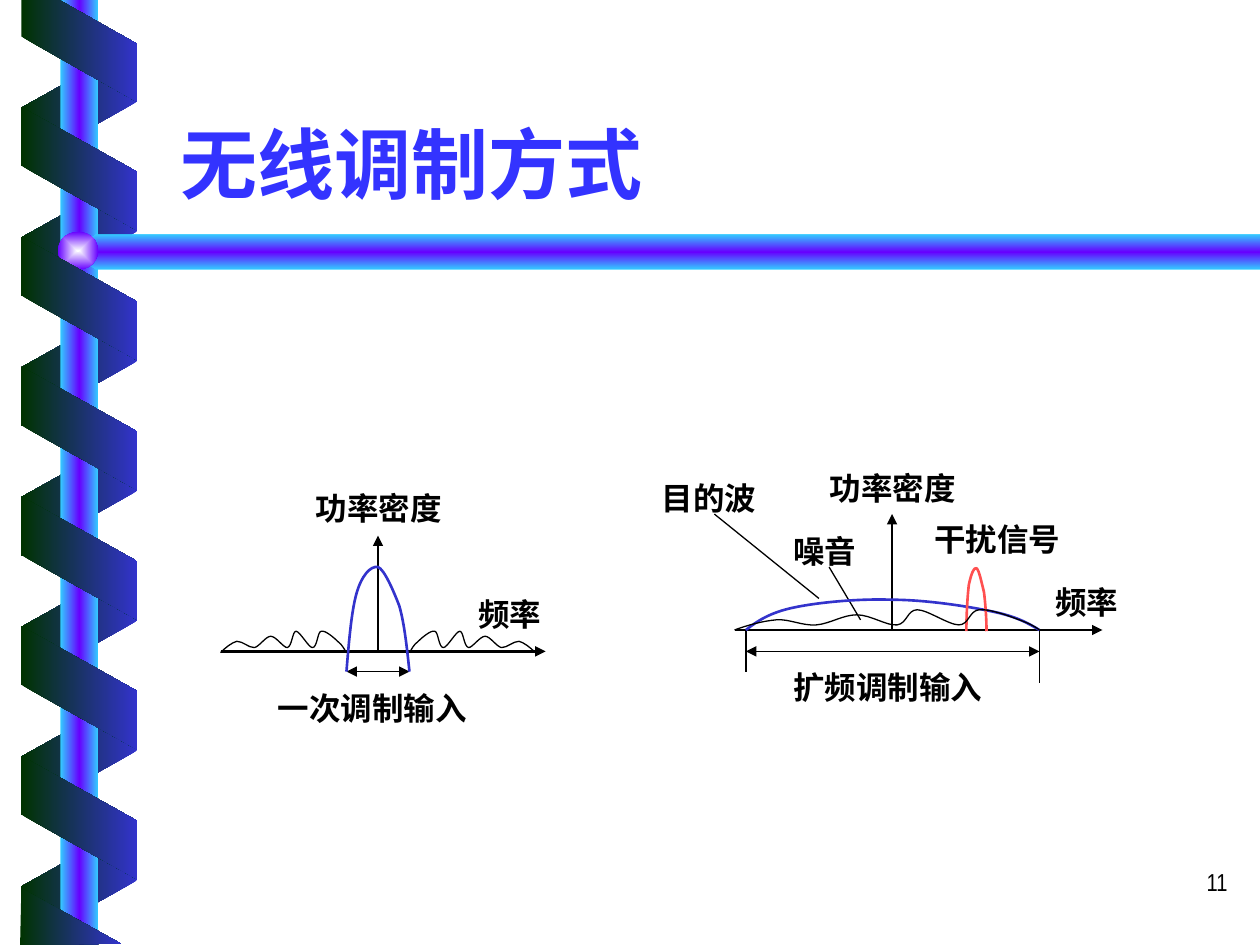
from lxml.etree import SubElement
from pptx import Presentation
from pptx.dml.color import RGBColor
from pptx.enum.shapes import MSO_CONNECTOR, MSO_SHAPE
from pptx.enum.text import MSO_ANCHOR, MSO_AUTO_SIZE, PP_ALIGN
from pptx.oxml.ns import qn
from pptx.util import Cm, Pt

BLACK = RGBColor(0x00, 0x00, 0x00)
GREEN = RGBColor(0x00, 0x33, 0x00)
NAVY = RGBColor(0x33, 0x33, 0xCC)
BLUE = RGBColor(0x33, 0x33, 0xFF)
CYAN = RGBColor(0x33, 0xCC, 0xFF)
VIOLET = RGBColor(0x66, 0x00, 0xFF)
PALE = RGBColor(0xFE, 0xFF, 0xFF)
RED = RGBColor(0xFF, 0x50, 0x50)
CJK = "Noto Sans CJK SC"
INCH = 2.54  # the layout grid is in inches


def grid(*vals):
    """Turn grid values into lengths."""
    return [Cm(val * INCH) for val in vals]


def shade(shape, hues, angle=None):
    """Fill with evenly spaced hues; without an angle they spread from the centre."""
    shape.shadow.inherit = False
    shape.line.fill.background()
    shape.fill.gradient()
    grad = shape._element.spPr.find(qn("a:gradFill"))
    grad.clear()
    grad.set("rotWithShape", "0")
    stops = SubElement(grad, qn("a:gsLst"))
    for i, hue in enumerate(hues):
        stop = SubElement(stops, qn("a:gs"), pos=str(100000 * i // (len(hues) - 1)))
        SubElement(stop, qn("a:srgbClr"), val=str(hue))
    if angle is None:
        way = SubElement(grad, qn("a:path"), path="rect")
        SubElement(way, qn("a:fillToRect"), **dict.fromkeys("ltrb", "50000"))
    else:
        SubElement(grad, qn("a:lin"), ang=str(angle * 60000), scaled="0")


deck = Presentation()
deck.slide_width, deck.slide_height = grid(10, 7.5)
slide = deck.slides.add_slide(deck.slide_layouts[5])
shapes = slide.shapes

# Ribbon behind the pole, pole, bar, ball, ribbon in front
STEP = 1.03
for top, count, turn in [(0.37, 7, 90), (0.88, 6, 270)]:
    for i in range(count):
        band = shapes.add_shape(MSO_SHAPE.PARALLELOGRAM,
                                *grid(0.14, top + i * STEP, 0.98, 0.92))
        band.adjustments[0] = 0.56
        band.rotation = turn
        if turn == 90:
            band._element.spPr.xfrm.set("flipH", "1")
        shade(band, [NAVY, GREEN] if turn == 90 else [GREEN, NAVY], 0)
    if turn == 90:
        pole = shapes.add_shape(MSO_SHAPE.RECTANGLE, *grid(0.48, 0, 0.3, 7.5))
        shade(pole, [CYAN, VIOLET, CYAN], 0)
        pen = shapes.build_freeform(*grid(10, 1.86), scale=1.0)
        pen.add_line_segments([grid(*spot) for spot in
                               [(0.76, 1.86), (0.6, 2), (0.76, 2.14), (10, 2.14)]])
        shade(pen.convert_to_shape(), [CYAN, VIOLET, CYAN], 90)
        ball = shapes.add_shape(MSO_SHAPE.OVAL, *grid(0.46, 1.84, 0.32, 0.3))
        shade(ball, [PALE, VIOLET])

for first, *rest in [
    [(0.17, 0), (0.17, 0.29), (1.09, 0.81), (1.09, 0.35), (0.47, 0)],
    [(0.96, 7.49), (0.17, 7.05), (0.16, 7.5)],
]:
    pen = shapes.build_freeform(*grid(*first), scale=1.0)
    pen.add_line_segments([grid(*spot) for spot in rest])
    shade(pen.convert_to_shape(), [GREEN, NAVY], 0)

# Title
title = shapes.title
title.left, title.top, title.width, title.height = grid(1.33, 0.46, 8.5, 1.25)
title.text = "无线调制方式"
frame = title.text_frame
for key, val in {"vertical_anchor": MSO_ANCHOR.BOTTOM, "word_wrap": True,
                 "auto_size": MSO_AUTO_SIZE.NONE}.items():
    setattr(frame, key, val)
para = frame.paragraphs[0]
para.alignment = PP_ALIGN.LEFT
run = para.runs[0]
for key, val in {"name": CJK, "size": Pt(44), "bold": True}.items():
    setattr(run.font, key, val)
run.font.color.rgb = BLUE
SubElement(run.font._element, qn("a:ea"), typeface=CJK)

# Axes, spans and leaders: from, to, weight, arrowheads
for x1, y1, x2, y2, size, heads in [
    (7.08, 5, 7.08, 4.08, 1.5, ["tail"]),
    (5.83, 5, 8.75, 5, 1.5, ["tail"]),
    (5.92, 5.17, 8.25, 5.17, 0.75, ["head", "tail"]),
    (5.92, 5, 5.92, 5.33, 0.75, []),
    (8.25, 5, 8.25, 5.42, 0.75, []),
    (6.83, 4.92, 6.58, 4.5, 0.75, []),
    (6.5, 4.75, 5.67, 4.08, 0.75, []),
    (3, 5.17, 3, 4.25, 1.5, ["tail"]),
    (1.75, 5.17, 4.33, 5.17, 1.5, ["tail"]),
    (2.75, 5.33, 3.25, 5.33, 0.75, ["head", "tail"]),
]:
    line = shapes.add_connector(MSO_CONNECTOR.STRAIGHT, *grid(x1, y1, x2, y2))
    line.line.color.rgb = BLACK
    line.line.width = Pt(size)
    for end in heads:
        SubElement(line.line._get_or_add_ln(), qn(f"a:{end}End"), type="triangle")
    SubElement(line._element.spPr, qn("a:effectLst"))

# Waves: a start, then three Bézier points for each arc
ripple = [
    (1.75, 5.18), (1.79, 5.14), (1.84, 5.1), (1.88, 5.09),
    (1.93, 5.09), (1.97, 5.14), (2.02, 5.14), (2.06, 5.13), (2.11, 5.05), (2.15, 5.05),
    (2.19, 5.05), (2.25, 5.14), (2.28, 5.14), (2.32, 5.13), (2.32, 5.01), (2.35, 5.01),
    (2.38, 5.01), (2.45, 5.14), (2.48, 5.14), (2.52, 5.14), (2.52, 5.01), (2.55, 5.01),
    (2.58, 5), (2.65, 5.06), (2.68, 5.09), (2.72, 5.12), (2.73, 5.15), (2.75, 5.18)]
mirror = [(6 - x, y) for x, y in ripple]
noise = [
    (5.83, 5), (5.94, 4.96), (6.05, 4.93), (6.16, 4.92),
    (6.26, 4.91), (6.37, 4.97), (6.48, 4.96), (6.59, 4.95), (6.69, 4.88), (6.8, 4.88),
    (6.91, 4.88), (7.04, 4.97), (7.12, 4.96), (7.2, 4.95), (7.2, 4.84), (7.28, 4.84),
    (7.36, 4.84), (7.53, 4.96), (7.61, 4.96), (7.69, 4.96), (7.69, 4.85), (7.77, 4.84),
    (7.85, 4.83), (8.01, 4.89), (8.09, 4.92), (8.17, 4.95), (8.21, 4.97), (8.25, 5)]
spread = [
    (5.92, 5), (6.01, 4.93), (6.11, 4.86), (6.31, 4.82),
    (6.5, 4.78), (6.82, 4.75), (7.08, 4.76), (7.34, 4.76), (7.67, 4.81), (7.86, 4.85),
    (8.06, 4.89), (8.15, 4.94), (8.25, 5)]
spike = [
    (7.67, 5.01), (7.67, 4.87), (7.68, 4.72), (7.69, 4.64),
    (7.71, 4.55), (7.73, 4.5), (7.75, 4.51), (7.77, 4.52), (7.79, 4.62), (7.81, 4.7),
    (7.82, 4.78), (7.83, 4.9), (7.83, 5.01)]
pulse = [
    (2.75, 5.33), (2.77, 5.09), (2.79, 4.85), (2.83, 4.71),
    (2.87, 4.57), (2.94, 4.49), (3, 4.5), (3.05, 4.52), (3.12, 4.68), (3.17, 4.81),
    (3.21, 4.95), (3.23, 5.14), (3.25, 5.33)]
for spots, hue, size in [(spread, NAVY, 1.5), (spike, RED, 1.5), (noise, BLACK, 0.75),
                         (pulse, NAVY, 1.5), (ripple, BLACK, 0.75), (mirror, BLACK, 0.75)]:
    pen = shapes.build_freeform(*grid(*spots[0]), scale=1.0)
    pen.add_line_segments([grid(*spot) for spot in spots[1:]], close=False)
    wave = pen.convert_to_shape()
    wave.shadow.inherit = False
    wave.fill.background()
    wave.line.color.rgb = hue
    wave.line.width = Pt(size)
    legs = list(wave._element.iter(qn("a:lnTo")))
    track = legs[0].getparent()
    for i in range(0, len(legs), 3):
        arc = SubElement(track, qn("a:cubicBezTo"))
        for leg in legs[i:i + 3]:
            arc.append(leg[0])
            track.remove(leg)

# Labels and page number
LABEL = {"name": "Times New Roman", "size": Pt(18), "bold": True}
PAGE = {"name": "Arial Narrow", "size": Pt(14), "bold": False}
for text, x, y, wide, high, look in [
    ("频率", 8.25, 4.58, 0.75, 0.4, LABEL),
    ("功率密度", 6.5, 3.67, 1.17, 0.4, LABEL),
    ("扩频调制输入", 6.17, 5.25, 1.75, 0.4, LABEL),
    ("噪音", 6.17, 4.17, 0.75, 0.4, LABEL),
    ("目的波", 5.25, 3.75, 0.75, 0.4, LABEL),
    ("干扰信号", 7.25, 4.08, 1.33, 0.4, LABEL),
    ("频率", 3.67, 4.67, 0.75, 0.4, LABEL),
    ("功率密度", 2.42, 3.83, 1.17, 0.4, LABEL),
    ("一次调制输入", 2.08, 5.42, 1.75, 0.4, LABEL),
    ("11", 7.76, 6.83, 2.08, 0.5, PAGE),
]:
    frame = shapes.add_textbox(*grid(x, y, wide, high)).text_frame
    frame.word_wrap = look is PAGE
    if look is LABEL:
        frame.margin_left = frame.margin_right = 0
    para = frame.paragraphs[0]
    para.alignment = PP_ALIGN.CENTER if look is LABEL else PP_ALIGN.RIGHT
    run = para.add_run()
    run.text = text
    for key, val in look.items():
        setattr(run.font, key, val)
    run.font.color.rgb = BLACK
    SubElement(run.font._element, qn("a:ea"), typeface=CJK)

deck.save("out.pptx")
